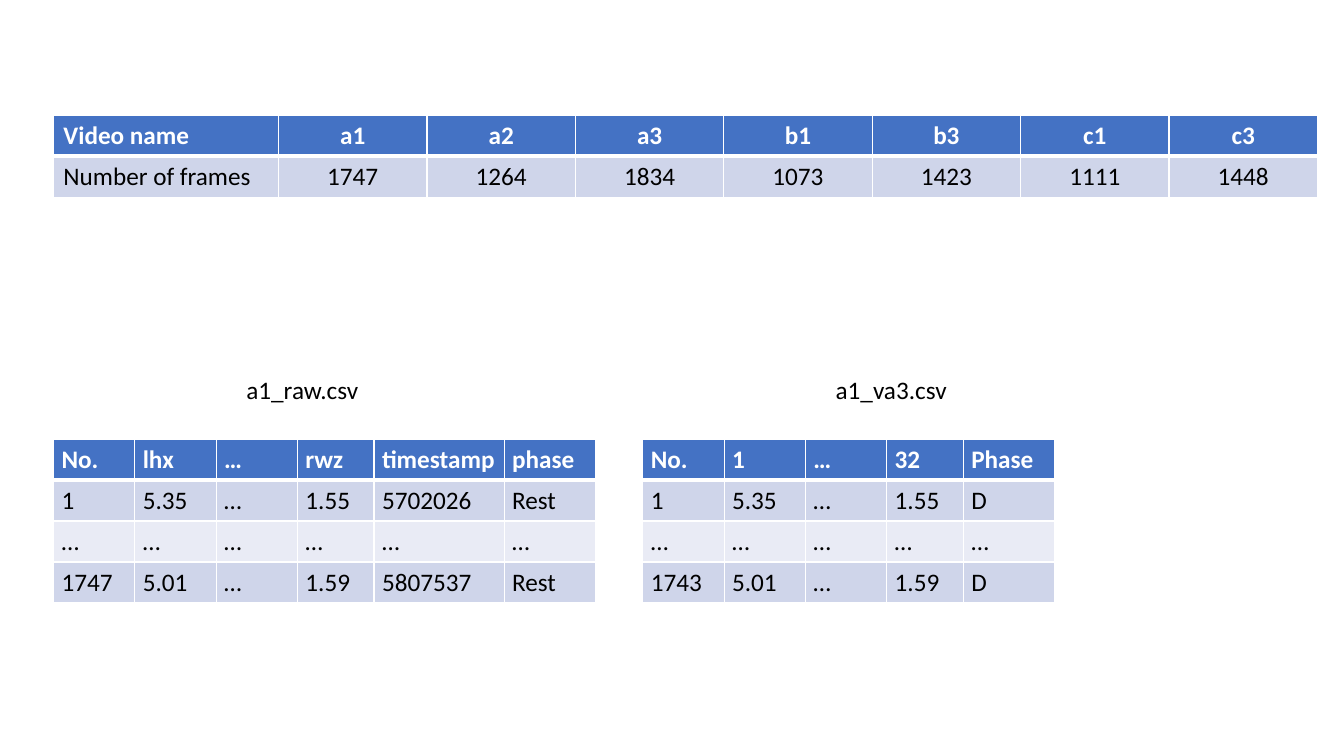
from lxml import etree
from pptx import Presentation
from pptx import util as u
from pptx.dml.color import RGBColor
from pptx.enum import text
from pptx.oxml.ns import qn

WHITE = RGBColor(0xFF, 0xFF, 0xFF)
BLACK = RGBColor(0x00, 0x00, 0x00)
HEADER_BLUE = RGBColor(0x44, 0x72, 0xC4)
BAND_DARK = RGBColor(0xCF, 0xD5, 0xEA)
BAND_LIGHT = RGBColor(0xE9, 0xEB, 0xF5)

FONT = "Calibri"
FONT_SIZE = u.Pt(18)
ROW_HEIGHT = 1.03
LEFT_MARGIN = 1.35

FRAME_COUNTS = [
    ["Video name", "a1", "a2", "a3", "b1", "b3", "c1", "c3"],
    ["Number of frames", "1747", "1264", "1834", "1073", "1423", "1111", "1448"],
]
RAW_ROWS = [
    ["No.", "lhx", "…", "rwz", "timestamp", "phase"],
    ["1", "5.35", "…", "1.55", "5702026", "Rest"],
    ["…"] * 6,
    ["1747", "5.01", "…", "1.59", "5807537", "Rest"],
]
VA3_ROWS = [
    ["No.", "1", "…", "32", "Phase"],
    ["1", "5.35", "…", "1.55", "D"],
    ["…"] * 5,
    ["1743", "5.01", "…", "1.59", "D"],
]


def add_run(paragraph, wording, color, bold=False):
    run = paragraph.add_run()
    run.text = wording
    run.font.name = FONT
    run.font.size = FONT_SIZE
    run.font.bold = bold
    run.font.color.rgb = color


def add_borders(cell, bottom_width, top_width):
    """Draw white cell borders; must run before the cell's fill is set."""
    properties = cell._tc.get_or_add_tcPr()
    widths = {"a:lnL": 1, "a:lnR": 1, "a:lnT": top_width, "a:lnB": bottom_width}
    for tag, width in widths.items():
        line = etree.SubElement(properties, qn(tag), w=str(u.Pt(width)))
        fill = etree.SubElement(line, qn("a:solidFill"))
        etree.SubElement(fill, qn("a:srgbClr"), val=str(WHITE))


def format_cell(cell, wording, row_index, side_margin, alignment):
    is_header = row_index == 0
    add_borders(cell, 3 if is_header else 1, 3 if row_index == 1 else 1)
    cell.fill.solid()
    if is_header:
        cell.fill.fore_color.rgb = HEADER_BLUE
    else:
        cell.fill.fore_color.rgb = BAND_DARK if row_index % 2 else BAND_LIGHT
    cell.margin_left = cell.margin_right = u.Cm(side_margin)
    cell.margin_top = cell.margin_bottom = u.Cm(0.13)
    paragraph = cell.text_frame.paragraphs[0]
    paragraph.alignment = alignment
    add_run(paragraph, wording, WHITE if is_header else BLACK, is_header)


def add_banded_table(slide, left, top, column_widths, rows,
                     side_margin=0.2, value_alignment=text.PP_ALIGN.LEFT):
    """Add a table; value_alignment applies to all columns but the first."""
    frame = slide.shapes.add_table(
        len(rows), len(column_widths), u.Cm(left), u.Cm(top),
        u.Cm(sum(column_widths)), u.Cm(ROW_HEIGHT * len(rows)))
    table = frame.table
    for column, width in zip(table.columns, column_widths):
        column.width = u.Cm(width)
    for row_index, row in enumerate(rows):
        table.rows[row_index].height = u.Cm(ROW_HEIGHT)
        for column_index, wording in enumerate(row):
            alignment = value_alignment if column_index else text.PP_ALIGN.LEFT
            format_cell(table.cell(row_index, column_index), wording,
                        row_index, side_margin, alignment)


def add_csv_preview(slide, left, top, file_name, column_widths, rows):
    """Add a file name with a table of the file's rows below it."""
    label = slide.shapes.add_textbox(
        u.Cm(left + 4.61), u.Cm(top), u.Cm(3.34), u.Cm(1.03))
    label.text_frame.word_wrap = False
    label.text_frame.auto_size = text.MSO_AUTO_SIZE.SHAPE_TO_FIT_TEXT
    add_run(label.text_frame.paragraphs[0], file_name, BLACK)
    add_banded_table(slide, left, top + 1.75, column_widths, rows)


def main():
    presentation = Presentation()
    presentation.slide_width = u.Cm(33.87)
    presentation.slide_height = u.Cm(19.05)
    slide = presentation.slides.add_slide(presentation.slide_layouts[6])

    add_banded_table(slide, LEFT_MARGIN, 2.9, [5.67] + [3.74] * 7, FRAME_COUNTS,
                     side_margin=0.25, value_alignment=text.PP_ALIGN.CENTER)
    add_csv_preview(slide, LEFT_MARGIN, 9.32, "a1_raw.csv",
                    [2.05, 2.05, 2.05, 1.93, 3.28, 2.31], RAW_ROWS)
    add_csv_preview(slide, 16.2, 9.32, "a1_va3.csv",
                    [2.05, 2.05, 2.05, 1.93, 2.31], VA3_ROWS)

    presentation.save("out.pptx")


if __name__ == "__main__":
    main()
